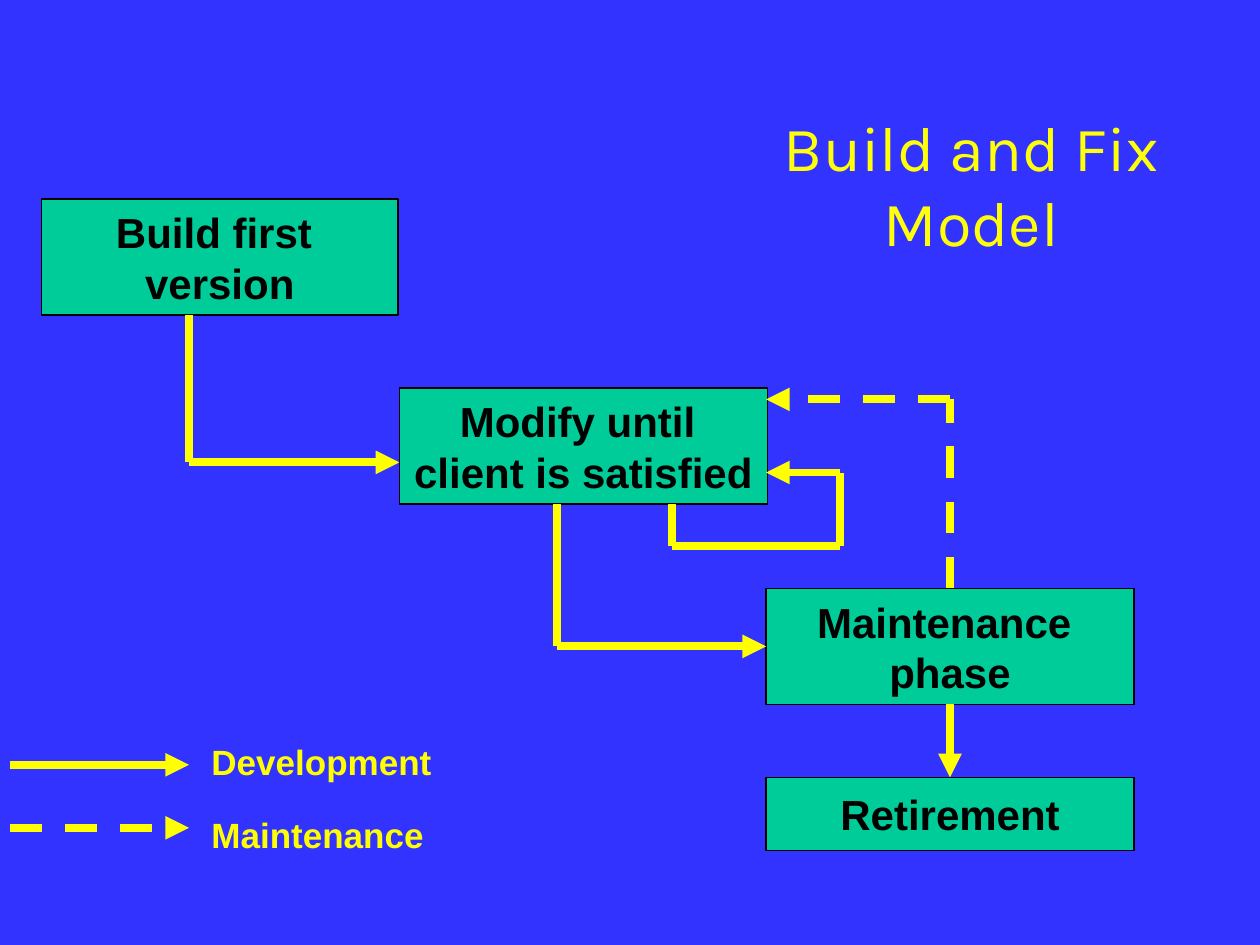
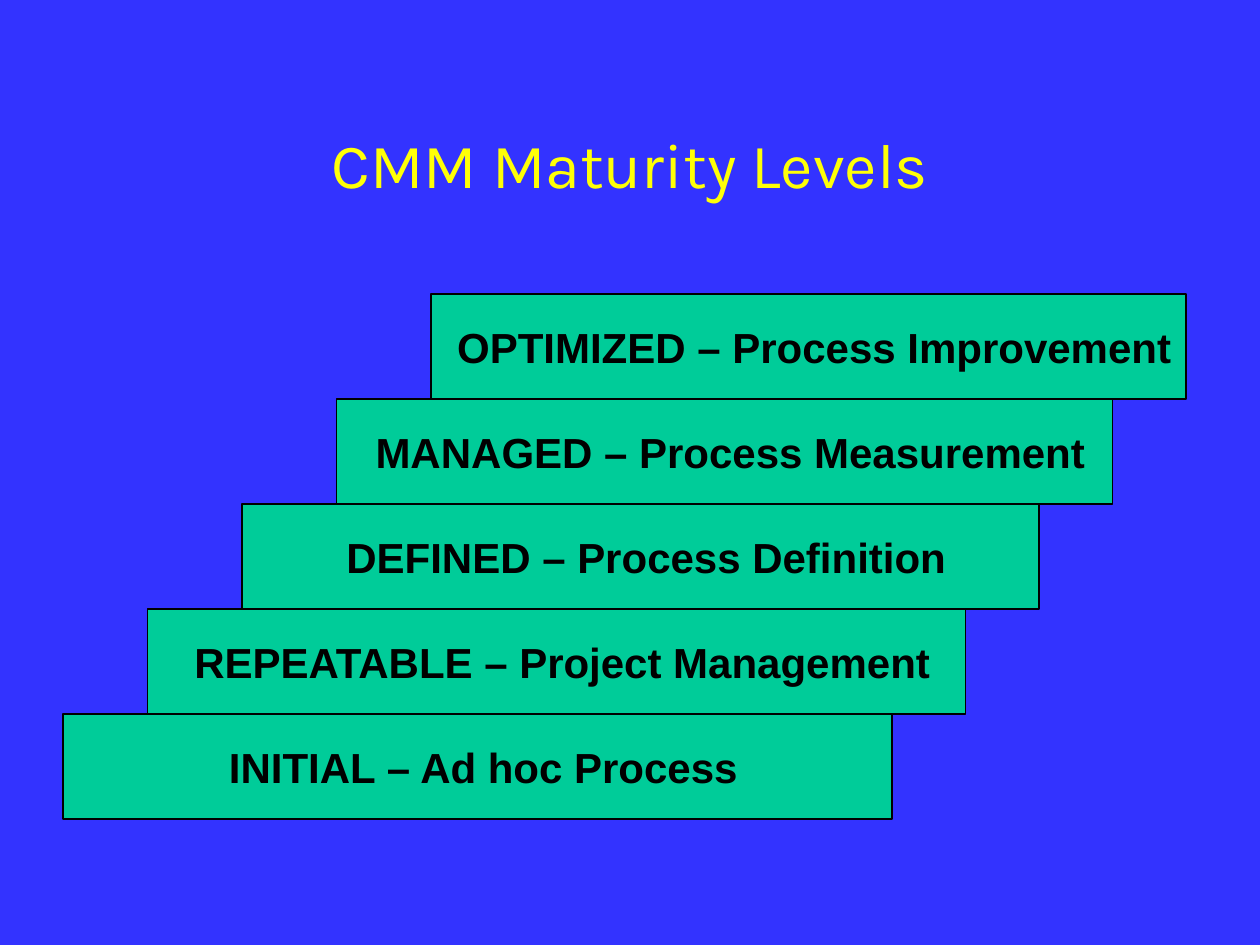
from dataclasses import dataclass
from itertools import pairwise

from lxml import etree
from pptx import Presentation
from pptx.dml.color import RGBColor
from pptx.enum import dml, shapes, text
from pptx.oxml import ns
from pptx.util import Inches, Pt


@dataclass(frozen=True)
class Theme:
    background: str = "3333FF"
    title: str = "FFFF07"
    box: str = "00CC99"
    ink: str = "000000"
    flow: str = "FFFF00"
    title_font: str = "Karla"
    body_font: str = "Arial"
    title_size: int = 36
    box_size: int = 24
    legend_size: int = 20
    outline: float = 0.75
    flow_width: float = 4.5


theme = Theme()


def write(sp, content, *, font=theme.body_font, size=theme.box_size, color=theme.ink,
          bold=True, align=text.PP_ALIGN.CENTER, wrap=True):
    """Put one paragraph per line of content into a shape."""
    tf = sp.text_frame
    tf.word_wrap = wrap
    tf.auto_size = text.MSO_AUTO_SIZE.NONE
    tf.vertical_anchor = text.MSO_ANCHOR.MIDDLE
    tf.text = content
    for p in tf.paragraphs:
        p.alignment = align
        for r in p.runs:
            r.font.name = font
            r.font.size = Pt(size)
            r.font.bold = bold
            r.font.color.rgb = RGBColor.from_string(color)


def add_box(slide, content, left, top, width, height):
    sp = slide.shapes.add_shape(shapes.MSO_SHAPE.RECTANGLE, Inches(left), Inches(top),
                                Inches(width), Inches(height))
    sp.shadow.inherit = False
    sp.fill.solid()
    sp.fill.fore_color.rgb = RGBColor.from_string(theme.box)
    sp.line.color.rgb = RGBColor.from_string(theme.ink)
    sp.line.width = Pt(theme.outline)
    write(sp, content, wrap=False)
    return sp


prs = Presentation()
prs.slide_width, prs.slide_height = Inches(10), Inches(7.5)
fill = prs.slide_master.background.fill
fill.solid()
fill.fore_color.rgb = RGBColor.from_string(theme.background)

# Both slides share the title style
slides = []
for heading, place in [
    ("Build and Fix Model", (5.5, 0.5, 4.42, 1.92)),
    ("CMM Maturity Levels", (0.75, 0.67, 8.5, 1.25)),
]:
    slide = prs.slides.add_slide(prs.slide_layouts.get_by_name("Title Only"))
    title = slide.shapes.title
    title.left, title.top, title.width, title.height = map(Inches, place)
    write(title, heading, font=theme.title_font, size=theme.title_size,
          color=theme.title, bold=False)
    slides.append(slide)
model, levels = slides

# Slide 1: phases of the build and fix model
build = add_box(model, "Build first \nversion", 0.33, 1.58, 2.83, 0.92)
modify = add_box(model, "Modify until \nclient is satisfied", 3.17, 3.08, 2.92, 0.92)
maintenance = add_box(model, "Maintenance \nphase", 6.08, 4.67, 2.92, 0.92)
retirement = add_box(model, "Retirement", 6.08, 6.17, 2.92, 0.58)

# Each path: corner points, dashed, (box, side) joined at its start and at its end
paths = [
    ([(1.5, 2.5), (1.5, 3.67), (3.17, 3.67)], False, None, None),
    ([(4.42, 4), (4.42, 5.13), (6.08, 5.13)], False, None, (maintenance, 1)),
    ([(0.08, 6.57), (1.5, 6.57)], True, None, None),
    ([(0.08, 6.07), (1.5, 6.07)], False, None, None),
    ([(7.54, 5.59), (7.54, 6.17)], False, (maintenance, 2), (retirement, 0)),
    ([(7.54, 4.67), (7.54, 3.17), (6.08, 3.17)], True, (maintenance, 0), None),
    ([(5.33, 4), (5.33, 4.33), (6.67, 4.33), (6.67, 3.75), (6.08, 3.75)],
     False, None, None),
]
for points, dashed, start, end in paths:
    for (x1, y1), (x2, y2) in pairwise(points):
        line = model.shapes.add_connector(shapes.MSO_CONNECTOR.STRAIGHT, Inches(x1),
                                          Inches(y1), Inches(x2), Inches(y2))
        line.line.color.rgb = RGBColor.from_string(theme.flow)
        line.line.width = Pt(theme.flow_width)
        if dashed:
            line.line.dash_style = dml.MSO_LINE.DASH
        etree.SubElement(line._element.spPr, ns.qn("a:effectLst"))
        if start and (x1, y1) == points[0]:
            line.begin_connect(*start)
    # The last segment carries the arrowhead
    etree.SubElement(line.line._get_or_add_ln(), ns.qn("a:tailEnd"), type="triangle")
    if end:
        line.end_connect(*end)

for label, top in [("Development", 5.82), ("Maintenance", 6.4)]:
    sp = model.shapes.add_textbox(Inches(1.58), Inches(top), Inches(2.5), Inches(0.44))
    write(sp, label, size=theme.legend_size, color=theme.flow, align=text.PP_ALIGN.LEFT)

# Slide 2: staircase of levels, from the bottom step up
step_height = 2.5 / 3
for i, (label, left) in enumerate([
    (" INITIAL – Ad hoc Process", 0.5),
    (" REPEATABLE – Project Management", 1.17),
    (" DEFINED – Process Definition", 1.92),
    (" MANAGED – Process Measurement", 2.67),
    (" OPTIMIZED – Process Improvement", 3.42),
]):
    right = 7.08 + i * 1.75 / 3
    add_box(levels, label, left, 6.5 - (i + 1) * step_height, right - left, step_height)

prs.save("out.pptx")
